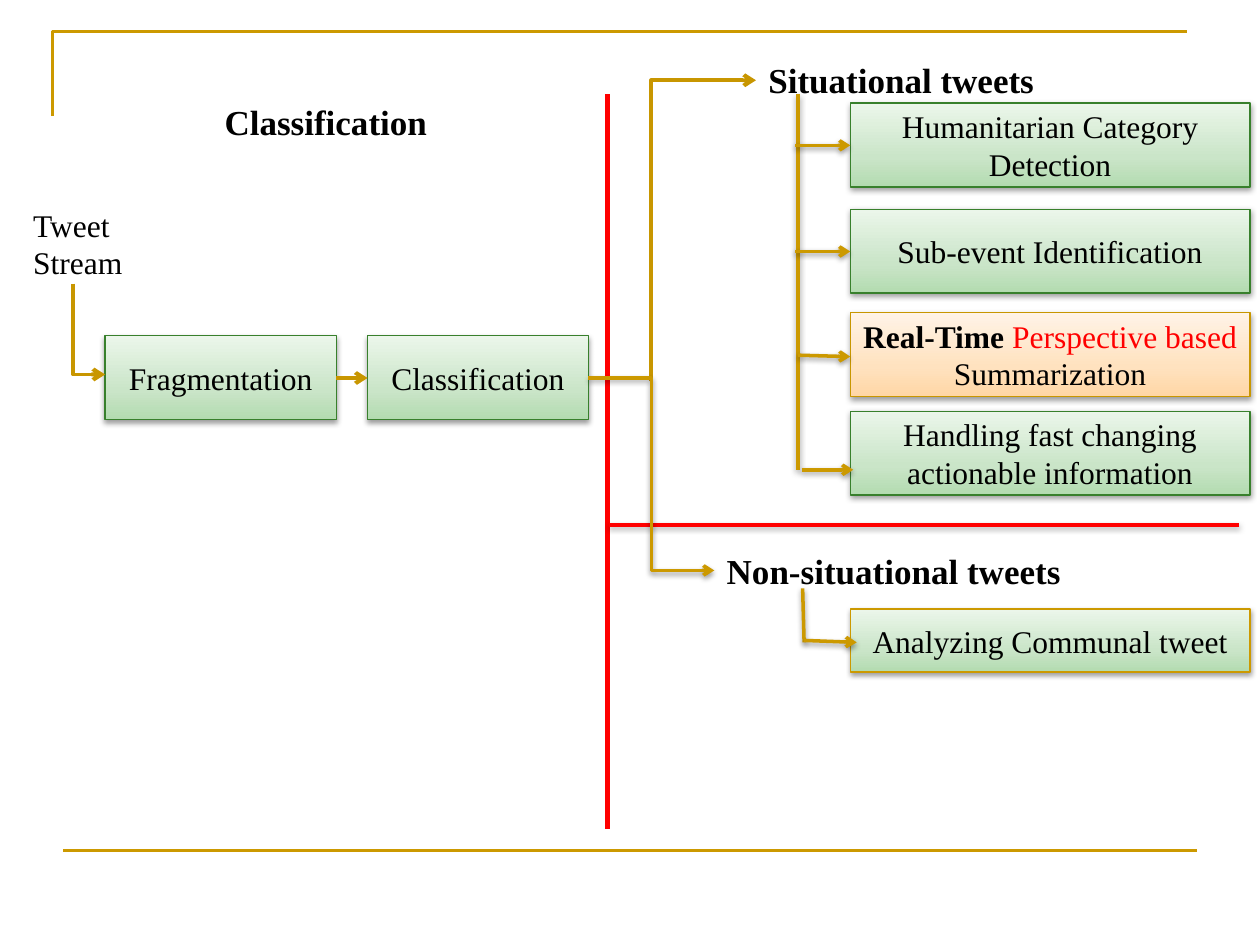
import copy

import pptx
import pptx.dml.color
import pptx.enum.shapes
import pptx.enum.text
import pptx.oxml
import pptx.oxml.ns
import pptx.util

Cm = pptx.util.Cm
RGBColor = pptx.dml.color.RGBColor
Align = pptx.enum.text.PP_ALIGN
Anchor = pptx.enum.text.MSO_ANCHOR
Connector = pptx.enum.shapes.MSO_CONNECTOR
qn = pptx.oxml.ns.qn

BLACK = RGBColor(0x00, 0x00, 0x00)
WHITE = RGBColor(0xFF, 0xFF, 0xFF)
RED = RGBColor(0xFF, 0x00, 0x00)
GOLD = RGBColor(0xCC, 0x99, 0x00)
OCHRE = RGBColor(0xC8, 0x96, 0x00)
GREEN = RGBColor(0x38, 0x80, 0x2C)
GREEN_FADE = (RGBColor(0xB3, 0xDB, 0xB0), RGBColor(0xCA, 0xE5, 0xC8), RGBColor(0xEB, 0xF6, 0xEA))
ORANGE_FADE = (RGBColor(0xFF, 0xD6, 0xA5), RGBColor(0xFF, 0xE2, 0xBF), RGBColor(0xFF, 0xF3, 0xE7))
FADE_POSITIONS = (0, 0.35, 1)

NAMESPACE = 'xmlns:a="http://schemas.openxmlformats.org/drawingml/2006/main"'
NO_EFFECTS = f"<a:effectLst {NAMESPACE}/>"
ARROWHEAD = f'<a:tailEnd {NAMESPACE} type="arrow"/>'
SHADOW = (
    f'<a:outerShdw {NAMESPACE} blurRad="40000" dist="20000" dir="5400000" rotWithShape="0">'
    '<a:srgbClr val="000000"><a:alpha val="38000"/></a:srgbClr></a:outerShdw>'
)


class Diagram:
    font = "Times New Roman"
    body_size = 18
    heading_size = 20

    def __init__(self, slide):
        self.slide = slide

    def fill_text(self, frame, paragraphs, size, align, anchor, wrap=True):
        frame.word_wrap = wrap
        frame.auto_size = pptx.enum.text.MSO_AUTO_SIZE.NONE
        frame.vertical_anchor = anchor
        for index, runs in enumerate(paragraphs):
            paragraph = frame.add_paragraph() if index else frame.paragraphs[0]
            paragraph.alignment = align
            for words, color, bold in runs:
                run = paragraph.add_run()
                run.text = words
                run.font.name = self.font
                run.font.size = pptx.util.Pt(size)
                run.font.bold = bold
                run.font.color.rgb = color

    def outline(self, shape, color, width):
        shape.line.color.rgb = color
        shape.line.width = pptx.util.Pt(width)

    def effects(self, shape, shadow):
        effect_list = pptx.oxml.parse_xml(NO_EFFECTS)
        if shadow:
            effect_list.append(pptx.oxml.parse_xml(SHADOW))
        shape.element.spPr.append(effect_list)

    def title(self, words, left, top, width, height):
        heading = self.slide.shapes.title
        heading.left, heading.top = Cm(left), Cm(top)
        heading.width, heading.height = Cm(width), Cm(height)
        self.fill_text(heading.text_frame, [[(words, BLACK, True)]],
                       self.heading_size, Align.CENTER, Anchor.TOP, wrap=False)

    def label(self, lines, left, top, width, height, size, bold=False, wrap=True):
        box = self.slide.shapes.add_textbox(Cm(left), Cm(top), Cm(width), Cm(height))
        self.fill_text(box.text_frame, [[(line, BLACK, bold)] for line in lines],
                       size, Align.LEFT, Anchor.TOP, wrap)
        return box

    def task(self, runs, left, top, width, height=1.69, fade=GREEN_FADE, border=GREEN):
        box = self.slide.shapes.add_shape(
            pptx.enum.shapes.MSO_SHAPE.RECTANGLE, Cm(left), Cm(top), Cm(width), Cm(height))
        box.fill.gradient()
        box.fill.gradient_angle = 90
        first_stop = next(box.element.iter(qn("a:gs")))
        first_stop.addnext(copy.deepcopy(first_stop))
        for stop, position, color in zip(box.fill.gradient_stops, FADE_POSITIONS, fade):
            stop.position = position
            stop.color.rgb = color
        self.outline(box, border, 0.75)
        self.effects(box, True)
        self.fill_text(box.text_frame, [runs], self.body_size, Align.CENTER, Anchor.MIDDLE)

    def line(self, start, end, color=GOLD, width=2, arrow=False, shadow=False,
             kind=Connector.STRAIGHT):
        link = self.slide.shapes.add_connector(
            kind, Cm(start[0]), Cm(start[1]), Cm(end[0]), Cm(end[1]))
        self.outline(link, color, width)
        if arrow:
            link.element.spPr.find(qn("a:ln")).append(pptx.oxml.parse_xml(ARROWHEAD))
        self.effects(link, shadow)
        return link

    def corner(self, start, end, color, width):
        half_height, half_width = abs(end[1] - start[1]) / 2, abs(end[0] - start[0]) / 2
        middle_x, middle_y = (start[0] + end[0]) / 2, (start[1] + end[1]) / 2
        down = end[1] > start[1]
        offset = -half_width if down else half_width
        link = self.line((middle_x + half_height, middle_y + offset),
                         (middle_x - half_height, middle_y - offset),
                         color, width, arrow=True, kind=Connector.ELBOW)
        link.element.spPr.find(qn("a:prstGeom")).set("prst", "bentConnector2")
        link.element.spPr.find(qn("a:xfrm")).set("rot", "16200000" if down else "5400000")

    def frame(self, points):
        start, *rest = [(Cm(x), Cm(y)) for x, y in points]
        builder = self.slide.shapes.build_freeform(*start)
        builder.add_line_segments(rest, close=False)
        border = builder.convert_to_shape()
        border.fill.background()
        border.shadow.inherit = False
        self.outline(border, GOLD, 1.5)


def plain(words):
    return [(words, BLACK, False)]


def main():
    deck = pptx.Presentation()
    deck.slide_width, deck.slide_height = Cm(25.4), Cm(19.05)
    diagram = Diagram(deck.slides.add_slide(deck.slide_layouts[5]))

    diagram.frame([(1.06, 2.34), (1.06, 0.64), (23.92, 0.64)])
    diagram.line((1.27, 17.15), (24.13, 17.15), width=1.5)
    diagram.title("Classification", 4.26, 1.9, 4.62, 1.11)

    diagram.label(["Tweet", "Stream"], 0.42, 4.02, 2.34, 1.8, diagram.body_size, wrap=False)
    diagram.task(plain("Fragmentation"), 2.12, 6.77, 4.66)
    diagram.task(plain("Classification"), 7.41, 6.77, 4.45)
    diagram.corner((1.48, 5.72), (2.12, 7.55), OCHRE, 2.25)
    diagram.line((6.78, 7.62), (7.41, 7.62), OCHRE, 2.25, arrow=True)

    diagram.corner((13.13, 7.69), (15.24, 1.62), OCHRE, 2.25)
    diagram.line((12.24, 1.9), (12.24, 16.72), RED, 3)
    diagram.line((12.28, 10.58), (24.98, 10.58), RED, shadow=True)

    diagram.label(["Situational tweets"], 15.24, 1.06, 5.92, 1.11, diagram.heading_size, bold=True)
    other = diagram.label(["Non-situational tweets"], 14.4, 10.96, 8.89, 1.11,
                          diagram.heading_size, bold=True)
    other.fill.solid()
    other.fill.fore_color.rgb = WHITE
    diagram.outline(other, WHITE, 2)
    diagram.line((11.86, 7.62), (14.4, 11.5), arrow=True, shadow=True, kind=Connector.ELBOW)

    summarization = [("Real-Time ", BLACK, True), ("Perspective based", RED, False),
                     (" Summarization", BLACK, False)]
    task_left, task_width = 17.14, 8.06
    diagram.task(plain("Humanitarian Category Detection"), task_left, 2.08, task_width)
    diagram.task(plain("Sub-event Identification"), task_left, 4.22, task_width)
    diagram.task(summarization, task_left, 6.3, task_width, fade=ORANGE_FADE, border=OCHRE)
    diagram.task(plain("Handling fast changing actionable information"),
                 task_left, 8.29, task_width)
    diagram.task(plain("Analyzing Communal tweet"), task_left, 12.28, task_width, 1.27, border=GOLD)

    for start, end in [((16.09, 1.9), (16.09, 9.47)), ((16.18, 11.86), (16.21, 12.95))]:
        diagram.line(start, end, shadow=True)
    branches = [
        ((16.03, 2.93), (task_left, 2.93)),
        ((16.03, 5.07), (task_left, 5.07)),
        ((16.09, 7.16), (task_left, 7.19)),
        ((16.16, 9.47), (17.2, 9.47)),
        ((16.21, 12.91), (17.27, 12.95)),
    ]
    for start, end in branches:
        diagram.line(start, end, arrow=True, shadow=True)

    deck.save("out.pptx")


if __name__ == "__main__":
    main()
